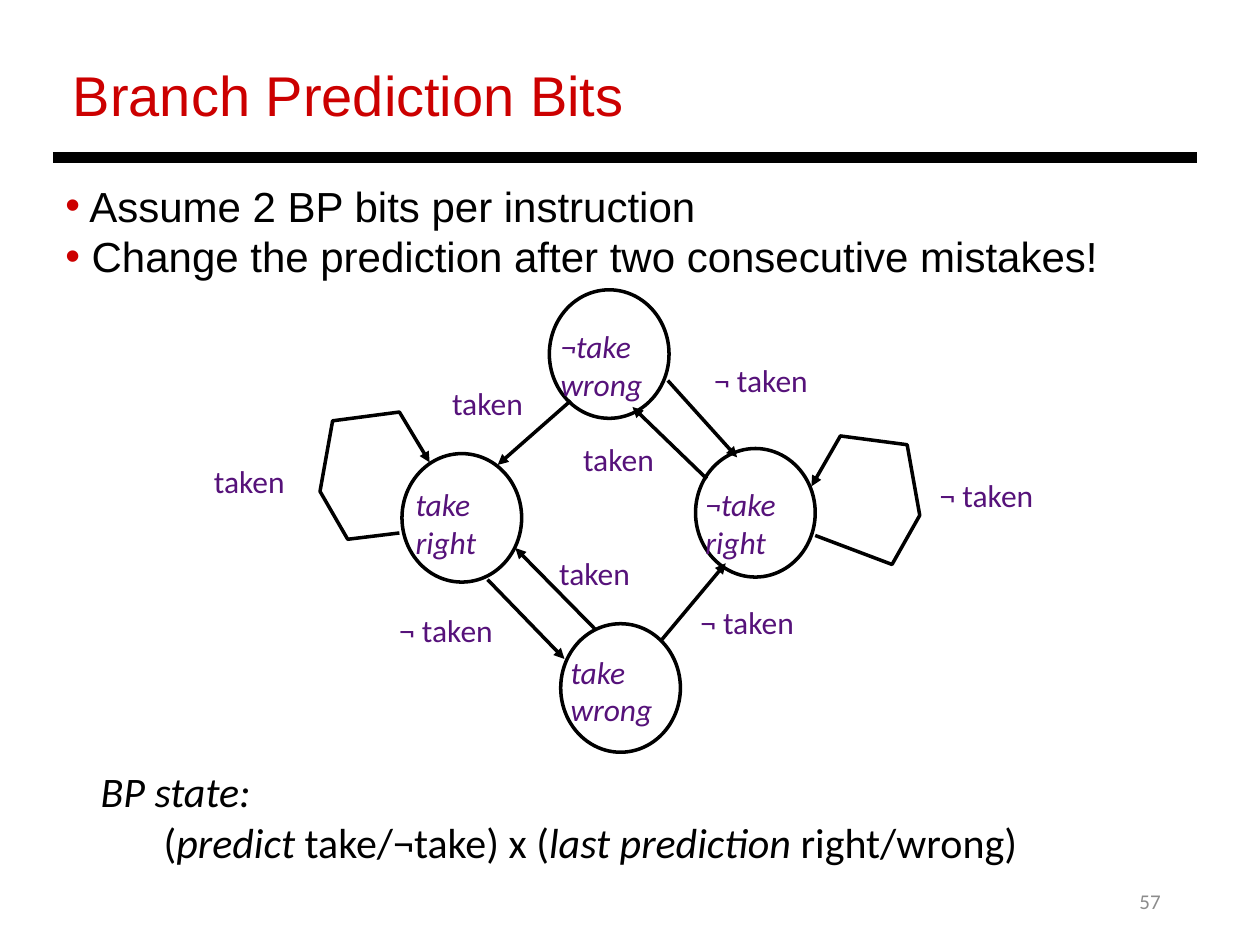
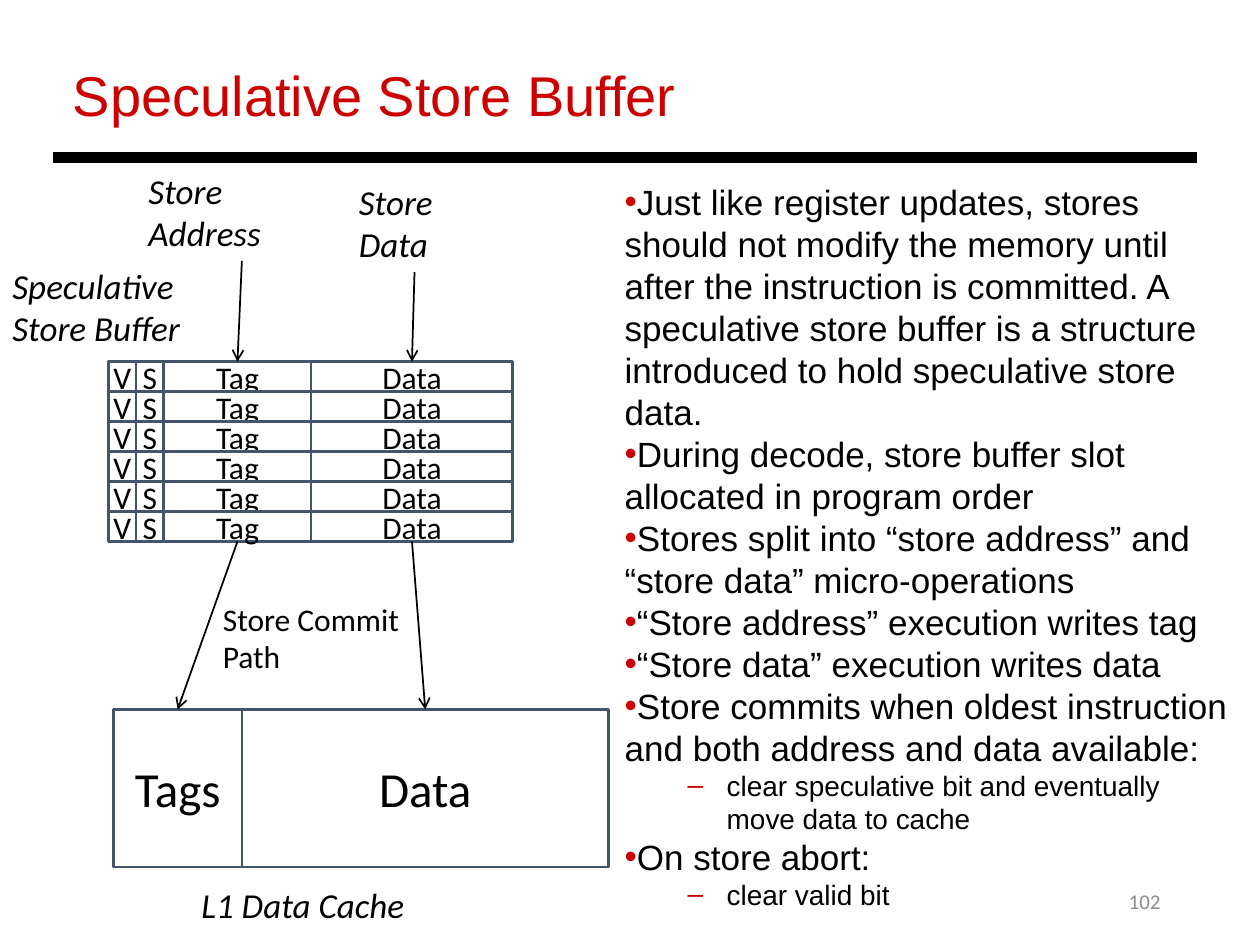
import dataclasses

import lxml.etree
import pptx
import pptx.dml.color
import pptx.enum.shapes
import pptx.enum.text
import pptx.oxml.ns
import pptx.util

Inches = pptx.util.Inches
Pt = pptx.util.Pt
ALIGN = pptx.enum.text.PP_ALIGN
ANCHOR = pptx.enum.text.MSO_ANCHOR
SHAPE = pptx.enum.shapes.MSO_SHAPE
STRAIGHT = pptx.enum.shapes.MSO_CONNECTOR.STRAIGHT


@dataclasses.dataclass(frozen=True)
class Theme:
    red: str = "CC0000"
    black: str = "000000"
    white: str = "FFFFFF"
    purple: str = "56127A"
    slate: str = "44546A"
    grey: str = "8C8C8C"
    heading_font: str = "Arial"
    diagram_font: str = "Calibri"
    title_size: int = 32
    cache_size: int = 28
    large_size: int = 24
    body_size: int = 20
    label_size: int = 18
    detail_size: int = 16
    number_size: int = 12
    line_pitch: float = 1.2


THEME = Theme()


def rgb(value):
    return pptx.dml.color.RGBColor.from_string(value)


def add_element(parent, tag, **attributes):
    return lxml.etree.SubElement(parent, pptx.oxml.ns.qn(tag), attributes)


def format_run(run, size, font, color, italic=False):
    run.font.size = Pt(size)
    run.font.name = font
    run.font.color.rgb = rgb(color)
    run.font.italic = italic


def add_text(shapes, box, text, size, font=THEME.diagram_font, color=THEME.black,
             italic=False, align=ALIGN.LEFT, anchor=ANCHOR.TOP):
    shape = shapes.add_textbox(*map(Inches, box))
    text_frame = shape.text_frame
    text_frame.word_wrap = True
    text_frame.vertical_anchor = anchor
    text_frame.text = text
    for paragraph in text_frame.paragraphs:
        paragraph.alignment = align
        for run in paragraph.runs:
            format_run(run, size, font, color, italic)
    return shape


def style_line(shape, color, width, head=None):
    shape.line.color.rgb = rgb(color)
    shape.line.width = Pt(width)
    properties = shape.element.spPr
    if head:
        add_element(properties.find(pptx.oxml.ns.qn("a:ln")), "a:tailEnd", type=head)
    add_element(properties, "a:effectLst")


def add_line(shapes, start, end, width, head=None):
    connector = shapes.add_connector(STRAIGHT, *map(Inches, (*start, *end)))
    style_line(connector, THEME.black, width, head)


def add_outline(shapes, kind, box, color, width):
    shape = shapes.add_shape(kind, *map(Inches, box))
    shape.fill.solid()
    shape.fill.fore_color.rgb = rgb(THEME.white)
    style_line(shape, color, width)
    return shape


def add_cell(shapes, box, text, size):
    shape = add_outline(shapes, SHAPE.RECTANGLE, box, THEME.slate, 1.5)
    text_frame = shape.text_frame
    text_frame.word_wrap = False
    text_frame.vertical_anchor = ANCHOR.MIDDLE
    text_frame.text = text
    paragraph = text_frame.paragraphs[0]
    paragraph.alignment = ALIGN.CENTER
    format_run(paragraph.runs[0], size, THEME.diagram_font, THEME.black)


def add_frame(presentation, title, number):
    slide = presentation.slides.add_slide(presentation.slide_layouts[6])
    add_text(slide.shapes, (7.06, 6.95, 2.25, 0.4), number, THEME.number_size,
             color=THEME.grey, align=ALIGN.RIGHT, anchor=ANCHOR.MIDDLE)
    add_text(slide.shapes, (0.48, 0.43, 8.78, 0.64), title, THEME.title_size,
             THEME.heading_font, THEME.red)
    add_line(slide.shapes, (0.42, 1.25), (9.5, 1.25), 6)
    return slide


def add_bullets(shapes, box, items, size):
    text = "\n".join(item for level, item in items)
    shape = add_text(shapes, box, text, size, THEME.heading_font)
    for paragraph, (level, item) in zip(shape.text_frame.paragraphs, items):
        properties = paragraph._p.get_or_add_pPr()
        properties.set("marL", str(Inches(0.81 * level)))
        properties.set("indent", str(Inches(-0.31 * level)))
        add_element(add_element(properties, "a:buClr"), "a:srgbClr", val=THEME.red)
        add_element(properties, "a:buFont", typeface=THEME.heading_font)
        add_element(properties, "a:buChar", char="–" if level else "•")
        paragraph.level = level
        run_size = THEME.detail_size if level else size
        paragraph.line_spacing = Pt(run_size * THEME.line_pitch)
        paragraph.runs[0].font.size = Pt(run_size)


def add_state_diagram(slide, left, top):
    shapes = slide.shapes.add_group_shape().shapes
    states = [
        ("take\nright", (1.59, 1.3), (1.6, 1.5)),
        ("¬take\nright", (3.92, 1.26), (3.9, 1.5)),
        ("take\nwrong", (2.85, 2.65), (2.83, 2.83)),
        ("¬take\nwrong", (2.76, 0), (2.75, 0.25)),
    ]
    transitions = [
        ((2.27, 2.3), (2.88, 2.93)),
        ((3.13, 2.7), (2.49, 2.05)),
        ((3.65, 2.78), (4.16, 2.17)),
        ((4.01, 1.5), (3.42, 0.93)),
        ((2.93, 0.88), (2.35, 1.39)),
        ((3.7, 0.72), (4.25, 1.33)),
    ]
    self_loops = [
        [(1.57, 1.93), (1.16, 1.98), (0.94, 1.6), (1.04, 1.04), (1.57, 0.97), (1.81, 1.37)],
        [(4.87, 1.95), (5.48, 2.18), (5.7, 1.79), (5.6, 1.23), (5.07, 1.16), (4.84, 1.56)],
    ]
    outcomes = {
        "taken": [(1.89, 0.7), (0, 1.32), (2.74, 2.05), (2.93, 1.14)],
        "¬ taken": [(3.97, 0.52), (5.76, 1.43), (3.86, 2.44), (1.47, 2.5)],
    }

    def place(point):
        return left + point[0], top + point[1]

    for name, circle, label in states:
        add_outline(shapes, SHAPE.OVAL, (*place(circle), 0.95, 1.02), THEME.black, 2)
    for start, end in transitions:
        add_line(shapes, place(start), place(end), 2, "triangle")
    for loop in self_loops:
        points = [tuple(map(Inches, place(point))) for point in loop]
        builder = shapes.build_freeform(*points[0])
        builder.add_line_segments(points[1:], close=False)
        shape = builder.convert_to_shape()
        shape.fill.background()
        style_line(shape, THEME.black, 2, "triangle")
    for name, circle, label in states:
        add_text(shapes, (*place(label), 1.09, 0.7), name, THEME.label_size,
                 color=THEME.purple, italic=True)
    for outcome, points in outcomes.items():
        for point in points:
            add_text(shapes, (*place(point), 1.33, 0.4), outcome, THEME.label_size,
                     color=THEME.purple)


def add_state_legend(slide, box):
    shape = add_text(slide.shapes, box, "BP state:", THEME.large_size, italic=True)
    paragraph = shape.text_frame.add_paragraph()
    pieces = ["\t(", "predict", " take/¬take) x (", "last prediction", " right/wrong)"]
    for index, piece in enumerate(pieces):
        run = paragraph.add_run()
        run.text = piece
        format_run(run, THEME.large_size, THEME.diagram_font, THEME.black, index % 2 == 1)


def add_row(shapes, left, top, height, columns, size):
    centers = []
    for name, width in columns:
        add_cell(shapes, (left, top, width, height), name, size)
        centers.append(left + width / 2)
        left += width
    return centers


def add_store_path(slide, left, top):
    shapes = slide.shapes
    buffer_top, row_height, row_count = top + 1.57, 0.238, 6
    buffer_bottom = buffer_top + row_count * row_height
    cache_top = top + 4.33
    buffer_columns = [("V", 0.22), ("S", 0.22), ("Tag", 1.17), ("Data", 1.6)]
    cache_columns = [("Tags", 1.02), ("Data", 2.91)]

    cache_centers = add_row(shapes, left + 0.9, cache_top, 1.25, cache_columns,
                            THEME.cache_size)
    for row in range(row_count):
        row_shapes = shapes.add_group_shape().shapes
        buffer_centers = add_row(row_shapes, left + 0.86, buffer_top + row * row_height,
                                 row_height, buffer_columns, THEME.label_size)

    captions = [
        ("Speculative Store Buffer", (0, 0.75, 1.68, 0.77)),
        ("L1 Data Cache", (1.5, 5.66, 1.97, 0.44)),
        ("Store Address", (1.08, 0, 1.68, 0.77)),
        ("Store Data", (2.75, 0.08, 1.08, 0.77)),
    ]
    for text, (x, y, width, height) in captions:
        add_text(shapes, (left + x, top + y, width, height), text, THEME.body_size,
                 italic=True)
    add_text(shapes, (left + 1.67, top + 3.41, 1.75, 0.71), "Store Commit Path",
             THEME.label_size)

    inputs = [(left + 1.92, top + 0.77), (left + 3.29, top + 0.86)]
    for source, buffer_x, cache_x in zip(inputs, buffer_centers[2:], cache_centers):
        add_line(shapes, source, (buffer_x, buffer_top), 1, "arrow")
        add_line(shapes, (buffer_x, buffer_bottom), (cache_x, cache_top), 1, "arrow")


def build_branch_prediction(presentation):
    slide = add_frame(presentation, "Branch Prediction Bits", "57")
    add_bullets(slide.shapes, (0.42, 1.38, 9.28, 0.91), [
        (0, " Assume 2 BP bits per instruction"),
        (0, " Change the prediction after two consecutive mistakes!"),
    ], THEME.large_size)
    add_state_diagram(slide, 1.6, 2.3)
    add_state_legend(slide, (0.7, 6.03, 8.11, 0.91))


def build_store_buffer(presentation):
    slide = add_frame(presentation, "Speculative Store Buffer", "102")
    add_bullets(slide.shapes, (4.86, 1.38, 5.04, 5.96), [
        (0, "Just like register updates, stores should not modify the memory until after "
            "the instruction is committed. A speculative store buffer is a structure "
            "introduced to hold speculative store data."),
        (0, "During decode, store buffer slot allocated in program order"),
        (0, "Stores split into “store address” and “store data” micro-operations"),
        (0, "“Store address” execution writes tag"),
        (0, "“Store data” execution writes data"),
        (0, "Store commits when oldest instruction and both address and data available:"),
        (1, "clear speculative bit and eventually move data to cache"),
        (0, "On store abort:"),
        (1, "clear valid bit"),
    ], THEME.body_size)
    add_store_path(slide, 0, 1.3)


def main():
    presentation = pptx.Presentation()
    presentation.slide_width = Inches(10)
    presentation.slide_height = Inches(7.5)
    build_branch_prediction(presentation)
    build_store_buffer(presentation)
    presentation.save("out.pptx")


if __name__ == "__main__":
    main()
